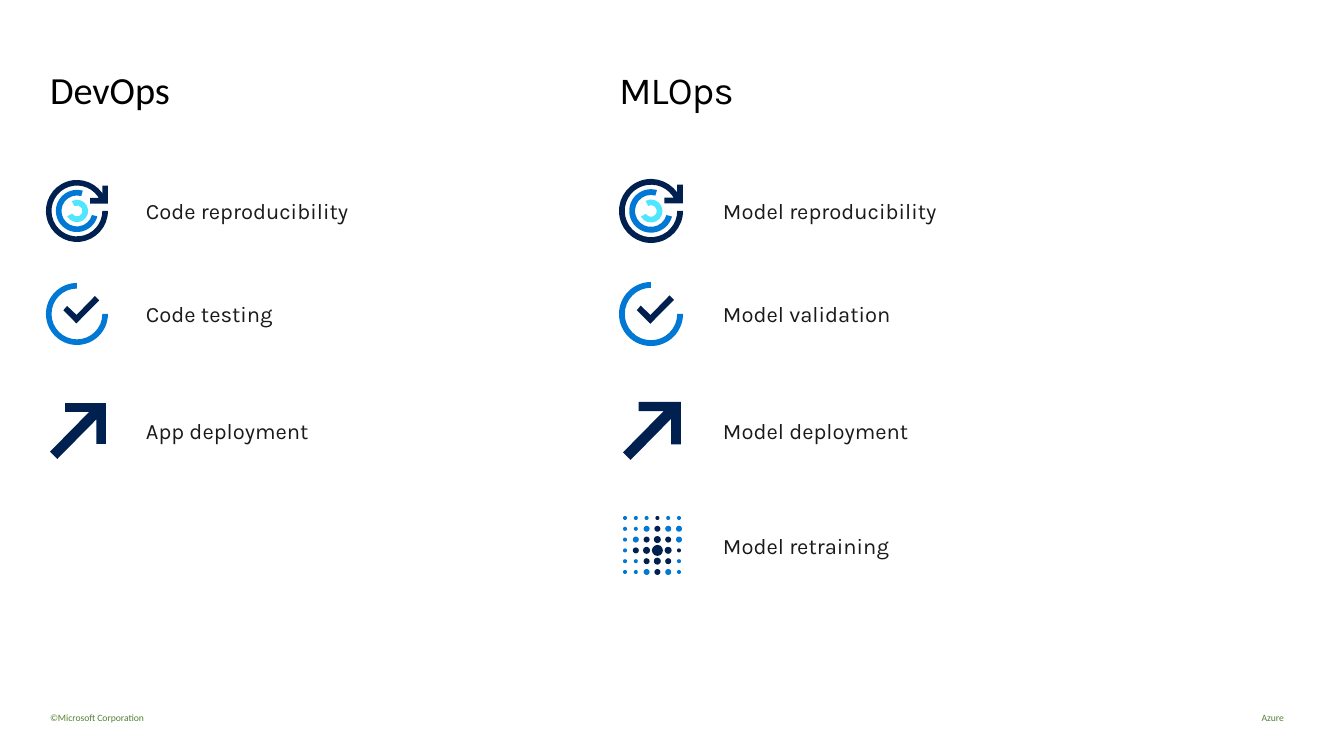
from math import ceil, cos, radians, sin, tan

from lxml.etree import SubElement
from pptx import Presentation
from pptx.dml.color import RGBColor
from pptx.enum.shapes import MSO_SHAPE as Preset
from pptx.enum.text import MSO_ANCHOR as Anchor, MSO_AUTO_SIZE as AutoSize, PP_ALIGN as Align
from pptx.oxml.ns import qn
from pptx.util import Pt

EMU_PER_PX = 914400 / 100.8
COLORS = {"navy": "002050", "blue": "0078D4", "cyan": "50E6FF",
          "text": "1A1A1A", "heading": "000000", "footer": "548235"}
ROW_CENTERS = [211, 314, 431, 545]
LABEL_HEIGHT = 26

# Dot sizes by letter; a capital letter makes the dot navy
DOT_SIZES = {"s": 4, "m": 6, "l": 7, "x": 11}
DOT_ROWS = ["sssSss", "ssmMmm", "smMLMm", "sMLXLS", "ssMLMs", "ssmMms"]


def px(length):
    return round(length * EMU_PER_PX)


def color(name):
    return RGBColor.from_string(COLORS[name])


def paint(shape, fill):
    shape.shadow.inherit = False
    shape.fill.solid()
    shape.fill.fore_color.rgb = color(fill)
    shape.line.fill.background()


def fill_text(box, text, size, font, ink):
    frame = box.text_frame
    frame.margin_left = frame.margin_right = frame.margin_top = frame.margin_bottom = 0
    frame.word_wrap = True
    frame.auto_size = AutoSize.NONE
    frame.text = text
    run = frame.paragraphs[0].runs[0]
    run.font.size, run.font.name = Pt(size), font
    run.font.color.rgb = color(ink)
    return frame.paragraphs[0]


def add_text(shapes, box, *style):
    return fill_text(shapes.add_textbox(*map(px, box)), *style)


# Icon outlines are given in percent of the icon's square box
def outline(shapes, box, points, fill):
    left, top, size = box
    corners = [(px(left + x * size / 100), px(top + y * size / 100)) for x, y in points]
    builder = shapes.build_freeform(*corners[0])
    builder.add_line_segments(corners[1:])
    shape = builder.convert_to_shape()
    paint(shape, fill)
    return shape


def arc_points(radius, start, end):
    """Start point, then two handles and an end point for each curve."""
    curves = ceil(abs(end - start) / 90)
    step = radians(end - start) / curves
    handle = 4 / 3 * tan(step / 4)
    points = [(cos(radians(start)), sin(radians(start)))]
    for i in range(curves):
        a = radians(start) + i * step
        b = a + step
        points += [(cos(a) - handle * sin(a), sin(a) + handle * cos(a)),
                   (cos(b) + handle * sin(b), sin(b) - handle * cos(b)),
                   (cos(b), sin(b))]
    return [(50 + radius * x, 50 + radius * y) for x, y in points]


def ring(shapes, box, outer, inner, start, end, fill):
    outside, inside = arc_points(outer, start, end), arc_points(inner, end, start)
    shape = outline(shapes, box, outside + inside, fill)
    # Join each two handles and end point into one curve
    lines = list(shape._element.iter(qn("a:lnTo")))
    half = len(outside)
    for first in [*range(0, half - 1, 3), *range(half, len(lines) - 2, 3)]:
        curve = lines[first].makeelement(qn("a:cubicBezTo"))
        lines[first].addprevious(curve)
        for line in lines[first:first + 3]:
            curve.append(line[0])
            line.getparent().remove(line)


def square(center_x, center_y, size):
    return center_x - size / 2, center_y - size / 2, size


def cycle_icon(shapes, x, y, size):
    box = square(x, y, size)
    ring(shapes, box, 50, 41, 0, 335, "navy")
    outline(shapes, box, [(71, 38), (71, 29), (91, 29), (91, 9), (100, 9), (100, 38)], "navy")
    ring(shapes, box, 34, 25, 15, 286, "blue")
    ring(shapes, box, 18, 9, 242, 511, "cyan")


def check_icon(shapes, x, y, size):
    box = square(x, y, size)
    ring(shapes, box, 50, 41, 0, 270, "blue")
    outline(shapes, box, [(43, 58), (49, 65), (86, 28), (79, 21)], "navy")
    outline(shapes, box, [(49, 65), (56, 58), (34, 37), (28, 44)], "navy")


def arrow_icon(shapes, x, y, size):
    outline(shapes, square(x + 1, y, size - 6),
            [(100, 0), (27, 0), (27, 16), (70, 16), (0, 87), (13, 100),
             (83, 29), (83, 73), (100, 73)], "navy")


def dots_icon(shapes, x, y, size):
    pitch = (size - 10) / 5
    for row, letters in enumerate(DOT_ROWS):
        for col, letter in enumerate(letters):
            diameter = DOT_SIZES[letter.lower()]
            left, top, _ = square(x + 1 + (col - 2.5) * pitch,
                                  y + (row - 2.5) * pitch, diameter)
            dot = shapes.add_shape(Preset.OVAL, px(left), px(top), px(diameter), px(diameter))
            paint(dot, "navy" if letter.isupper() else "blue")


def add_practices(slide, icon_x, icon_size, label_x, practices):
    shapes = slide.shapes.add_group_shape().shapes
    for center_y, (draw_icon, label, width) in zip(ROW_CENTERS, practices):
        draw_icon(shapes, icon_x, center_y, icon_size)
        label_box = (label_x, center_y - LABEL_HEIGHT / 2, width, LABEL_HEIGHT)
        add_text(shapes, label_box, label, 15.7, "Karla", "text")


def add_headings(slide, top, height):
    title = slide.shapes.title
    title.left, title.top, title.width, title.height = map(px, (50, top, 1246, height))
    devops = fill_text(title, "DevOps", 27.4, "Calibri", "heading")
    mlops_box = slide.shapes.add_textbox(*map(px, (619, top, 597, height)))
    mlops = fill_text(mlops_box, "MLOps", 27.4, "Karla", "heading")
    mlops.runs[0].font._element.set("spc", "-50")
    title.text_frame.vertical_anchor = Anchor.MIDDLE
    for heading in (devops, mlops):
        heading.alignment = Align.LEFT
        heading.line_spacing = Pt(31.4)


def add_footer(slide, left, top, width, height):
    footer = add_text(slide.shapes, (left, top, width, height),
                      "©Microsoft Corporation\tAzure", 6.9, "Calibri", "footer")
    tabs = SubElement(footer._p.get_or_add_pPr(), qn("a:tabLst"))
    SubElement(tabs, qn("a:tab"), pos=str(px(width - 12)), algn="r")


def main():
    deck = Presentation()
    deck.slide_width, deck.slide_height = px(1344), px(756)
    slide = deck.slides.add_slide(deck.slide_layouts[5])

    add_footer(slide, 50, 712, 1246, 23)
    add_headings(slide, 68, 44)

    # DevOps column
    add_practices(slide, 77, 62, 146, [
        (cycle_icon, "Code reproducibility", 267),
        (check_icon, "Code testing", 285),
        (arrow_icon, "App deployment", 285),
    ])

    # MLOps column
    add_practices(slide, 651, 64, 723, [
        (cycle_icon, "Model reproducibility", 268),
        (check_icon, "Model validation", 198),
        (arrow_icon, "Model deployment", 300),
        (dots_icon, "Model retraining", 278),
    ])

    deck.save("out.pptx")


if __name__ == "__main__":
    main()
